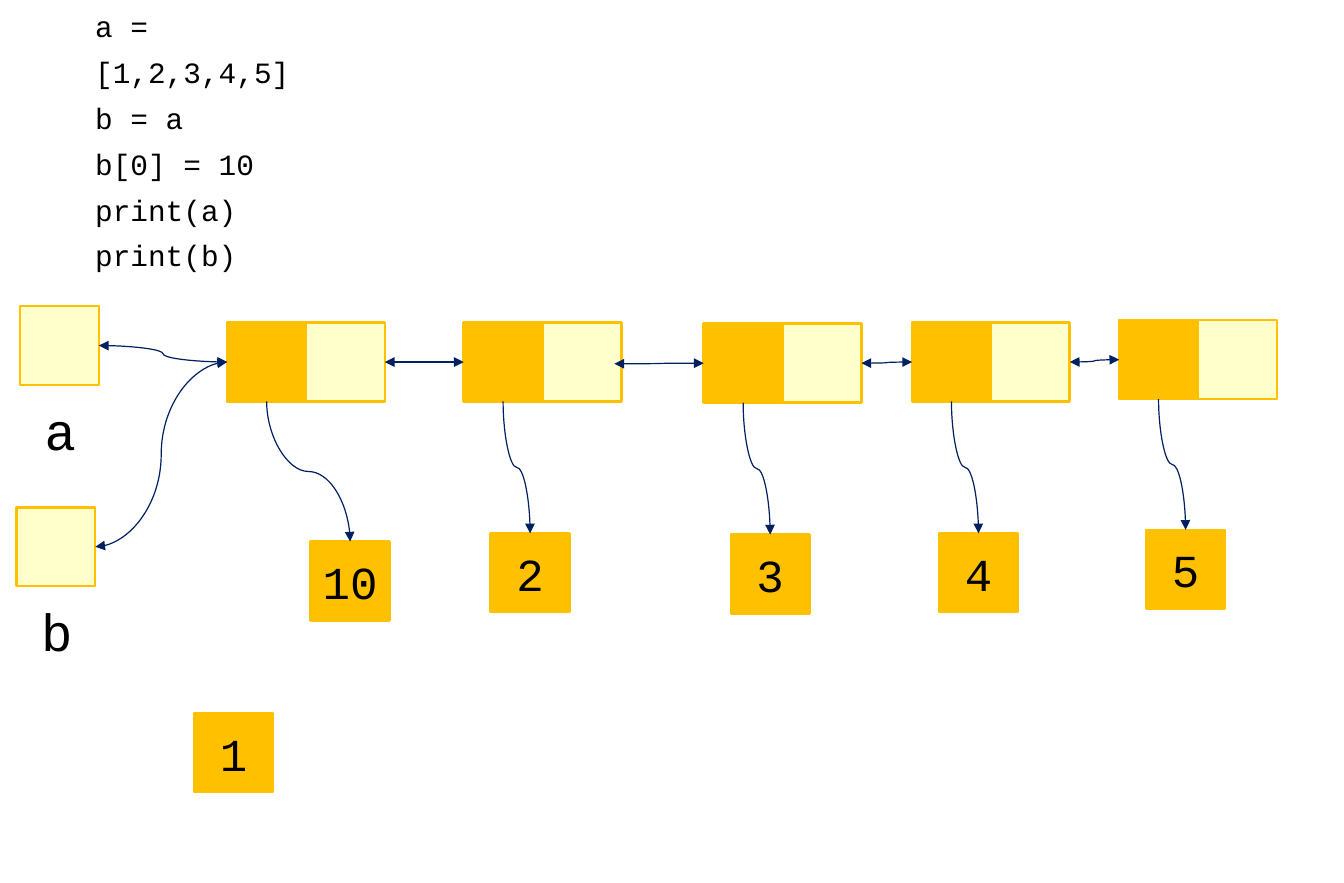
import pptx
import pptx.util
import pptx.dml.color
import pptx.enum.shapes
import pptx.enum.text
from dataclasses import dataclass
from lxml import etree

CODE = ["a = [1,2,3,4,5]", "b = a", "b[0] = 10", "print(a)", "print(b)"]
NAMES = [("a", 0.17, 2.6), ("b", 0.14, 4.31)]
NODES = [
    ((1.93, 2.74), ("10", 2.64, 4.6)),
    ((3.94, 2.74), ("2", 4.17, 4.53)),
    ((5.98, 2.75), ("3", 6.21, 4.54)),
    ((7.75, 2.74), ("4", 7.98, 4.53)),
    ((9.51, 2.72), ("5", 9.74, 4.5)),
]
LOOSE = ("1", 1.65, 6.06)
FREE = {1: (5.22, 3.09)}
SIDE = 0.67

Inches = pptx.util.Inches
Pt = pptx.util.Pt
Align = pptx.enum.text.PP_ALIGN
Anchor = pptx.enum.text.MSO_ANCHOR
Fit = pptx.enum.text.MSO_AUTO_SIZE


@dataclass
class Theme:
    font: str = "Courier New"
    ink: str = "000000"
    gold: str = "FFC000"
    pale: str = "FFFFCC"
    navy: str = "002060"
    code: int = 18
    item: int = 28
    name: int = 32
    edge: float = 1.5
    wire: float = 0.75


def color(code):
    return pptx.dml.color.RGBColor.from_string(code)


def write(frame, lines, size, align=Align.LEFT, anchor=Anchor.TOP,
          space=1.0, wrap=True, fit=Fit.NONE):
    frame.word_wrap = wrap
    frame.auto_size = fit
    frame.vertical_anchor = anchor
    for i, line in enumerate(lines):
        para = frame.add_paragraph() if i else frame.paragraphs[0]
        para.alignment = align
        para.line_spacing = space
        run = para.add_run()
        run.text = line
        run.font.name = theme.font
        run.font.size = Pt(size)
        run.font.color.rgb = color(theme.ink)


def label(lines, x, y, w, h, size, wrap):
    box = shapes.add_textbox(Inches(x), Inches(y), Inches(w), Inches(h))
    write(box.text_frame, lines, size, space=1.3, wrap=wrap,
          fit=Fit.SHAPE_TO_FIT_TEXT)


def cell(x, y, fill):
    box = shapes.add_shape(pptx.enum.shapes.MSO_SHAPE.RECTANGLE,
                           Inches(x), Inches(y), Inches(SIDE), Inches(SIDE))
    box.shadow.inherit = False
    box.fill.solid()
    box.fill.fore_color.rgb = color(fill)
    box.line.color.rgb = color(theme.gold)
    box.line.width = Pt(theme.edge)
    return box


def value(text, x, y):
    box = cell(x, y, theme.gold)
    write(box.text_frame, [text], theme.item, align=Align.CENTER,
          anchor=Anchor.MIDDLE)
    return box


def turn(wire):
    w, h = wire.width, wire.height
    wire.left += (w - h) // 2
    wire.top += (h - w) // 2
    wire.width, wire.height = h, w
    frame = wire.element.spPr.xfrm
    frame.set("rot", "16200000")
    frame.set("flipH", "1")


def link(end, site, begin=None, start=(0, 0), out=3, both=True):
    x, y = map(Inches, start)
    wire = shapes.add_connector(pptx.enum.shapes.MSO_CONNECTOR.CURVE, x, y, x, y)
    if begin is not None:
        wire.begin_connect(begin, out)
    wire.end_connect(end, site)
    if out == 2:
        turn(wire)
    wire.line.color.rgb = color(theme.navy)
    wire.line.width = Pt(theme.wire)
    stroke = wire.line._get_or_add_ln()
    space = "{http://schemas.openxmlformats.org/drawingml/2006/main}"
    for tip in ("headEnd", "tailEnd") if both else ("tailEnd",):
        etree.SubElement(stroke, space + tip, type="triangle")
    etree.SubElement(wire.element.spPr, space + "effectLst")


def build():
    label(CODE, 0.71, -0.07, 2.28, 2.04, theme.code, True)
    cells = [(cell(x, y, theme.gold), cell(x + SIDE, y, theme.pale))
             for (x, y), _ in NODES]
    for name, x, y in NAMES:
        box = cell(x, y, theme.pale)
        label([name], x + 0.11, y + 0.57, 0.45, 0.74, theme.name, False)
        link(cells[0][0], 1, begin=box)
    for (left, _), (_, item) in zip(cells, NODES):
        link(value(*item), 0, begin=left, out=2, both=False)
    for i, (_, right) in enumerate(cells[:-1]):
        after = cells[i + 1][0]
        if i in FREE:
            link(after, 1, start=FREE[i])
        else:
            link(after, 1, begin=right)
    value(*LOOSE)


theme = Theme()
deck = pptx.Presentation()
deck.slide_width, deck.slide_height = Inches(11.42), Inches(7.5)
shapes = deck.slides.add_slide(deck.slide_layouts[6]).shapes


def main():
    """Draw two names that share one linked list."""
    build()
    deck.save("out.pptx")


if __name__ == "__main__":
    main()
